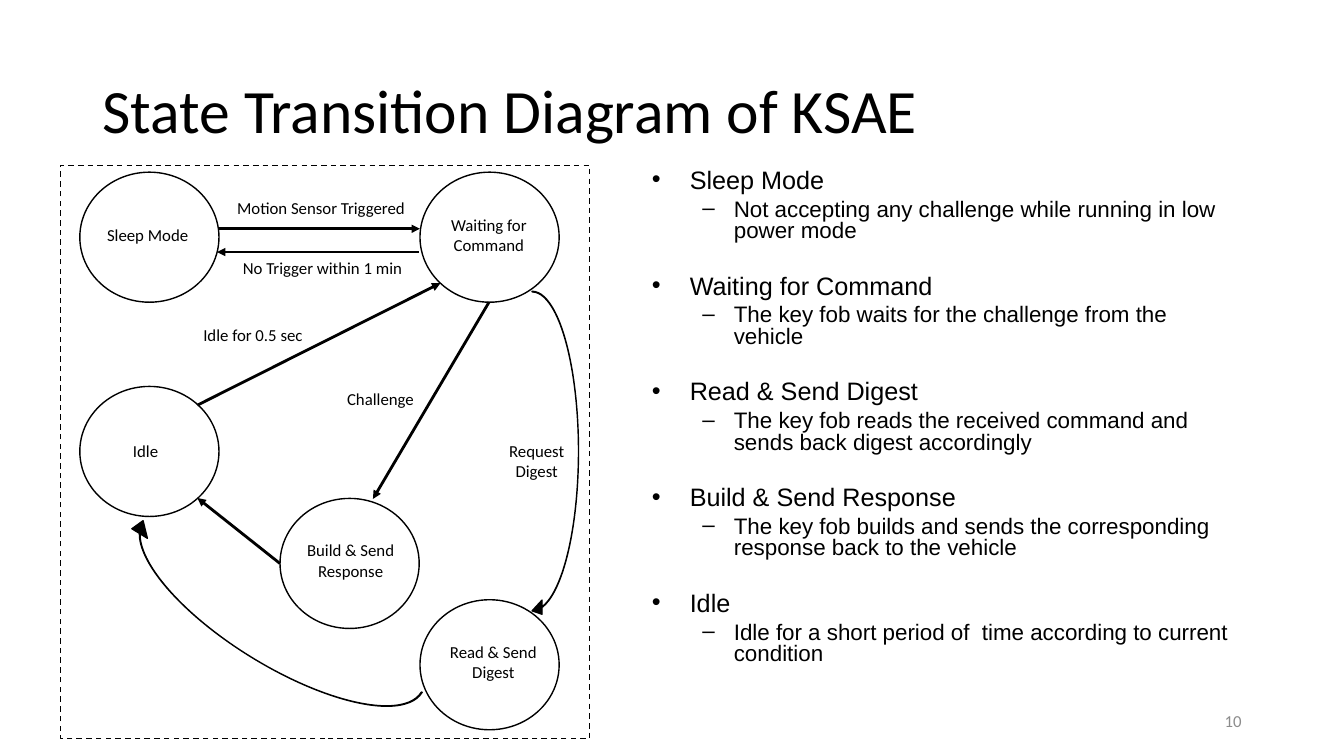
from lxml import etree
from pptx import Presentation
from pptx.dml.color import RGBColor
from pptx.enum.dml import MSO_LINE
from pptx.enum.shapes import MSO_CONNECTOR, MSO_SHAPE
from pptx.enum.text import MSO_ANCHOR, MSO_AUTO_SIZE, PP_ALIGN
from pptx.oxml.ns import qn
from pptx.util import Pt

RECT, OVAL, ARC = MSO_SHAPE.RECTANGLE, MSO_SHAPE.OVAL, MSO_SHAPE.CURVED_DOWN_ARROW
STRAIGHT = MSO_CONNECTOR.STRAIGHT
LEFT, CENTER, RIGHT = PP_ALIGN.LEFT, PP_ALIGN.CENTER, PP_ALIGN.RIGHT
MIDDLE = MSO_ANCHOR.MIDDLE
COLORS = {"ink": "000000", "number": "8C8C8C"}
TITLE_ONLY = 5
STATE_W, STATE_H = 99.4, 92.9

# left and top of each state's circle
STATES = [(57, 123), (300, 123), (57, 276), (200, 356), (300, 428.4)]

# text, centre x, top, width
LABELS = [
    ("Sleep Mode", 105.5, 157, 77),
    ("Waiting for\nCommand", 349.2, 149.8, 79),
    ("Idle", 104, 311, 37),
    ("Build & Send\nResponse", 250.5, 382.3, 94),
    ("Read & Send\nDigest", 352.4, 455, 96),
    ("Motion Sensor Triggered", 229.3, 137.5, 162),
    ("No Trigger within 1 min", 230.4, 180.7, 153),
    ("Challenge", 271.8, 274.3, 76),
    ("Idle for 0.5 sec", 180.7, 228.2, 104),
    ("Request\nDigest", 383.4, 311, 66),
]

# start x, start y, end x, end y
TRANSITIONS = [
    (155.5, 163.4, 300, 163.4),
    (299, 180, 155, 180),
    (349.2, 216, 266.4, 356.4),
    (200, 402.5, 141, 355.7),
    (141, 289.4, 314.6, 202.3),
]

# left, top, width, height, rotation
CURVED_TRANSITIONS = [
    (280, 308.2, 233.3, 33.1, 90),
    (67.7, 428.4, 240.5, 42.5, 211.6),
]

DESCRIPTIONS = [
    ("Sleep Mode",
     "Not accepting any challenge while running in low power mode"),
    ("Waiting for Command",
     "The key fob waits for the challenge from the vehicle"),
    ("Read & Send Digest",
     "The key fob reads the received command and sends back digest accordingly"),
    ("Build & Send Response",
     "The key fob builds and sends the corresponding response back to the vehicle"),
    ("Idle",
     "Idle for a short period of  time according to current condition"),
]


def rgb(name):
    return RGBColor.from_string(COLORS[name])


def format_paragraph(p, size, font="Calibri", color="ink", align=LEFT):
    p.alignment = align
    for r in p.runs:
        r.font.size = Pt(size)
        r.font.name = font
        r.font.color.rgb = rgb(color)


def add_title(slide, text):
    sp = slide.shapes.title
    sp.left, sp.top, sp.width, sp.height = Pt(66), Pt(28.75), Pt(828), Pt(104.4)
    tf = sp.text_frame
    tf.text = text
    tf.auto_size = MSO_AUTO_SIZE.NONE
    tf.vertical_anchor = MIDDLE
    tf.paragraphs[0].line_spacing = 0.9
    format_paragraph(tf.paragraphs[0], 44)


def add_outline(slide, kind, left, top, width, height):
    sp = slide.shapes.add_shape(kind, Pt(left), Pt(top), Pt(width), Pt(height))
    sp.shadow.inherit = False
    sp.fill.background()
    sp.line.color.rgb = rgb("ink")
    sp.line.width = Pt(1)
    return sp


def add_label(slide, text, center, top, width):
    height = 9.4 + 14.4 * len(text.split("\n"))
    sp = slide.shapes.add_textbox(Pt(center - width / 2), Pt(top), Pt(width), Pt(height))
    tf = sp.text_frame
    tf.text = text
    tf.word_wrap = False
    for p in tf.paragraphs:
        format_paragraph(p, 12, align=CENTER)


def add_transition(slide, x1, y1, x2, y2):
    line = slide.shapes.add_connector(STRAIGHT, Pt(x1), Pt(y1), Pt(x2), Pt(y2))
    line.line.color.rgb = rgb("ink")
    line.line.width = Pt(2)
    etree.SubElement(line.line._get_or_add_ln(), qn("a:tailEnd"), type="triangle")
    etree.SubElement(line._element.spPr, qn("a:effectLst"))


def add_curved_transition(slide, left, top, width, height, rotation):
    sp = add_outline(slide, ARC, left, top, width, height)
    sp.rotation = rotation
    sp.fill.solid()
    sp.fill.fore_color.rgb = rgb("ink")
    for i, value in enumerate((0.013, 0.304, 0.213)):
        sp.adjustments[i] = value


def set_bullet(p, char, margin, hanging):
    pPr = p._p.get_or_add_pPr()
    pPr.set("marL", str(Pt(margin)))
    pPr.set("indent", str(-Pt(hanging)))
    etree.SubElement(pPr, qn("a:buFont"), typeface="Arial")
    etree.SubElement(pPr, qn("a:buChar"), char=char)


def add_descriptions(slide):
    sp = slide.shapes.add_textbox(Pt(458.6), Pt(118), Pt(435.6), Pt(393.8))
    tf = sp.text_frame
    tf.word_wrap = True
    tf.text = "\n".join(line for pair in DESCRIPTIONS for line in pair)
    for i, p in enumerate(tf.paragraphs):
        p.line_spacing = 0.8
        if i % 2:
            p.level = 1
            p.space_before = Pt(4)
            format_paragraph(p, 16, "Arial")
            set_bullet(p, "–", 58.5, 22.5)
        else:
            p.space_before = Pt(23.5 if i else 0)
            format_paragraph(p, 18, "Arial")
            set_bullet(p, "•", 27, 27)


def add_page_number(slide, text):
    sp = slide.shapes.add_textbox(Pt(678), Pt(500.5), Pt(216), Pt(28.8))
    tf = sp.text_frame
    tf.word_wrap = True
    tf.text = text
    tf.vertical_anchor = MIDDLE
    format_paragraph(tf.paragraphs[0], 12, color="number", align=RIGHT)


def main():
    prs = Presentation()
    prs.slide_width, prs.slide_height = Pt(960), Pt(540)
    slide = prs.slides.add_slide(prs.slide_layouts[TITLE_ONLY])
    add_title(slide, "State Transition Diagram of KSAE")
    frame = add_outline(slide, RECT, 43.2, 118, 378, 409.7)
    frame.line.dash_style = MSO_LINE.DASH
    for left, top in STATES:
        add_outline(slide, OVAL, left, top, STATE_W, STATE_H)
    for transition in TRANSITIONS:
        add_transition(slide, *transition)
    for curve in CURVED_TRANSITIONS:
        add_curved_transition(slide, *curve)
    for label in LABELS:
        add_label(slide, *label)
    add_descriptions(slide)
    add_page_number(slide, "10")
    prs.save("out.pptx")


if __name__ == "__main__":
    main()
